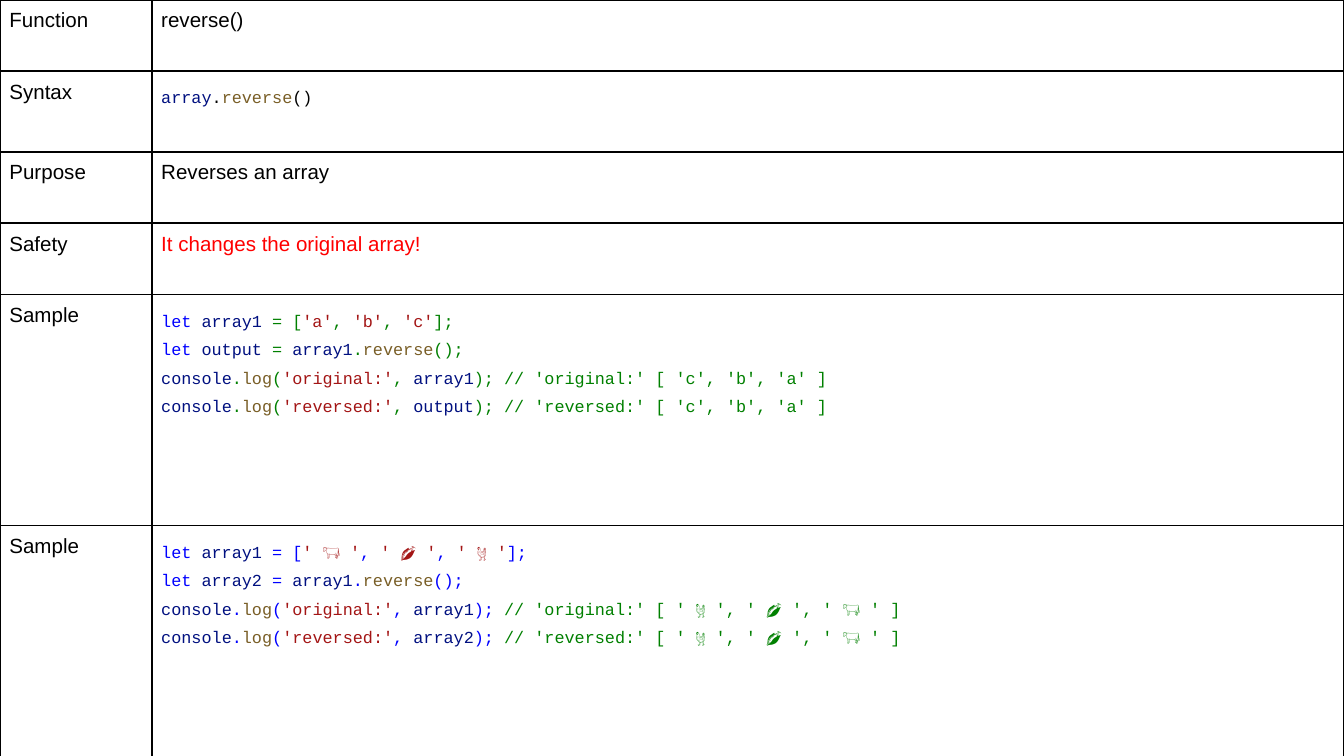
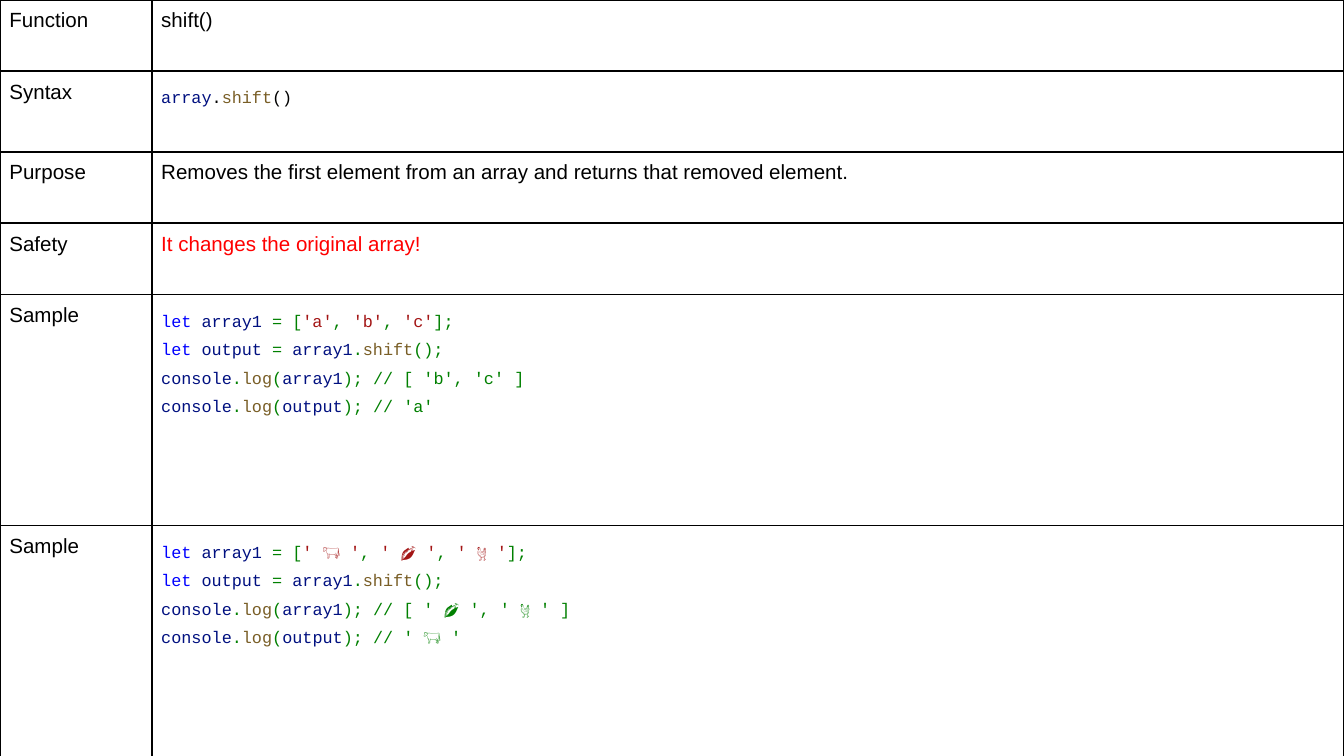
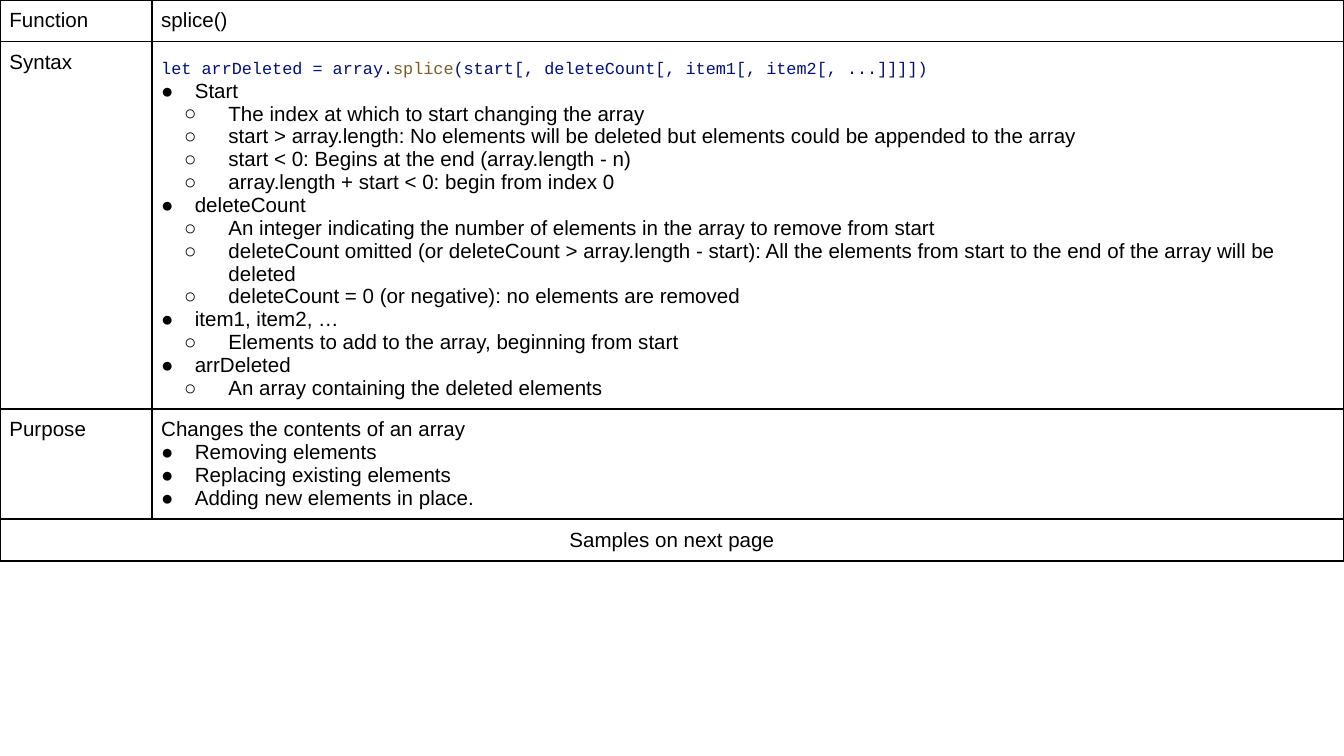
from pptx import Presentation, util as u
from pptx.dml import color
from pptx.enum import text
from pptx.oxml import parse_xml
from pptx.oxml.ns import nsdecls

BLACK, RED, BLUE, GREEN = "000000", "FF0000", "0000FF", "008000"
NAVY, BROWN, STRING = "001080", "795E26", "A31515"
HUES = {"let ": BLUE}
HUES.update(dict.fromkeys(["array", "array1", "array2", "output", "console"], NAVY))
HUES.update(dict.fromkeys(["log", "reverse", "shift", "splice"], BROWN))
MARKS = {"'": STRING, "/": GREEN}
PLAIN = {"name": "Arial", "size": u.Pt(11)}
CODE = {"name": "Courier New", "size": u.Pt(9)}
INSET = u.Inches(0.07)
CELL = dict.fromkeys(["margin_left", "margin_right", "margin_top", "margin_bottom"], INSET)
WIDTHS = [1.13, 8.87]
TALL = [0.53, 0.6, 0.53, 0.53, 1.72, 1.72]
SHORT = [0.22, 2.12, 0.59, 0.22]

WARN = ("Safety", RED, ["It changes the original array!"])
ABC = "let |array1| = [|'a'|, |'b'|, |'c'|];"
FARM = "let |array1| = [|' 🐄 '|, |' 🌽 '|, |' 🐔 '|];"
LOG = "console|.|log|(|"
FIRST, LAST = LOG + "'original:'|, |", LOG + "'reversed:'|, |"

PAGES = [
    (TALL, [
        ("Function", BLACK, ["reverse()"]),
        ("Syntax", BLACK, ["array|.|reverse|()"]),
        ("Purpose", BLACK, ["Reverses an array"]),
        WARN,
        ("Sample", GREEN, [
            ABC,
            "let |output| = |array1|.|reverse|();",
            FIRST + "array1|); // 'original:' [ 'c', 'b', 'a' ]",
            LAST + "output|); // 'reversed:' [ 'c', 'b', 'a' ]"]),
        ("Sample", BLUE, [
            FARM,
            "let |array2| = |array1|.|reverse|();",
            FIRST + "array1|); |// 'original:' [ ' 🐔 ', ' 🌽 ', ' 🐄 ' ]",
            LAST + "array2|); |// 'reversed:' [ ' 🐔 ', ' 🌽 ', ' 🐄 ' ]"]),
    ]),
    (TALL, [
        ("Function", BLACK, ["shift()"]),
        ("Syntax", BLACK, ["array|.|shift|()"]),
        ("Purpose", BLACK, [
            "Removes the first element from an array and returns that removed element."]),
        WARN,
        ("Sample", GREEN, [
            ABC,
            "let |output| = |array1|.|shift|();",
            LOG + "array1|); // [ 'b', 'c' ]",
            LOG + "output|); // 'a'"]),
        ("Sample", GREEN, [
            FARM,
            "let |output| = |array1|.|shift|();",
            LOG + "array1|); // [ ' 🌽 ', ' 🐔 ' ]",
            LOG + "output|); // ' 🐄 '"]),
    ]),
    (SHORT, [
        ("Function", BLACK, ["splice()"]),
        ("Syntax", NAVY, [
            "let arrDeleted = array.|splice|(start[, deleteCount[, item1[, item2[, ...]]]])",
            "● Start",
            "○ The index at which to start changing the array",
            "○ start > array.length: No elements will be deleted but elements could be "
            "appended to the array",
            "○ start < 0: Begins at the end (array.length - n)",
            "○ array.length + start < 0: begin from index 0",
            "● deleteCount",
            "○ An integer indicating the number of elements in the array to remove from start",
            "○ deleteCount omitted (or deleteCount > array.length - start): All the elements "
            "from start to the end of the array will be deleted",
            "○ deleteCount = 0 (or negative): no elements are removed",
            "● item1, item2, …",
            "○ Elements to add to the array, beginning from start",
            "● arrDeleted",
            "○ An array containing the deleted elements"]),
        ("Purpose", BLACK, [
            "Changes the contents of an array",
            "● Removing elements",
            "● Replacing existing elements",
            "● Adding new elements in place."]),
        ("Samples on next page", BLACK, []),
    ]),
]


def add_run(para, words, form, tint):
    run = para.add_run()
    run.text = words
    for key, value in form.items():
        setattr(run.font, key, value)
    run.font.color.rgb = color.RGBColor.from_string(tint)


def write(cell, lines, base):
    for i, line in enumerate(lines):
        para = cell.text_frame.paragraphs[0] if i == 0 else cell.text_frame.add_paragraph()
        if "|" in line:
            para.line_spacing = 1.5
            for part in line.split("|"):
                add_run(para, part, CODE, HUES.get(part, MARKS.get(part[0], base)))
        elif line[0] in "●○":
            para.level = "●○".index(line[0])
            props = para._p.get_or_add_pPr()
            props.set("marL", str(u.Inches(0.25 * (para.level + 1))))
            props.set("indent", str(u.Inches(-0.33)))
            for tag in (f'buClr {nsdecls("a")}><a:srgbClr val="{BLACK}"/></a:buClr>',
                        f'buFont {nsdecls("a")} typeface="Arial"/>',
                        f'buChar {nsdecls("a")} char="{line[0]}"/>'):
                props.append(parse_xml("<a:" + tag))
            add_run(para, line[2:], PLAIN, BLACK)
        else:
            add_run(para, line, PLAIN, base)


deck = Presentation()
deck.slide_width = u.Inches(10)
deck.slide_height = deck.slide_width * 9 // 16

for heights, rows in PAGES:
    slide = deck.slides.add_slide(deck.slide_layouts[6])
    grid = slide.shapes.add_table(
        len(rows), 2, 0, 0, u.Inches(sum(WIDTHS)), u.Inches(sum(heights))).table
    grid.first_row = grid.horz_banding = False
    for col, width in zip(grid.columns, WIDTHS):
        col.width = u.Inches(width)
    for row, height in zip(grid.rows, heights):
        row.height = u.Inches(height)
    for cell in grid.iter_cells():
        for key, value in CELL.items():
            setattr(cell, key, value)
        cell.fill.background()
        for i, side in enumerate("LRTB"):
            cell._tc.tcPr.insert(i, parse_xml(
                f'<a:ln{side} {nsdecls("a")} w="{u.Pt(1)}"><a:solidFill>'
                f'<a:srgbClr val="{BLACK}"/></a:solidFill></a:ln{side}>'))
    for i, (label, base, lines) in enumerate(rows):
        head, body = grid.cell(i, 0), grid.cell(i, 1)
        write(head, [label], BLACK)
        if lines:
            write(body, lines, base)
        else:
            head.merge(body)
            head.text_frame.paragraphs[0].alignment = text.PP_ALIGN.CENTER

deck.save("out.pptx")
